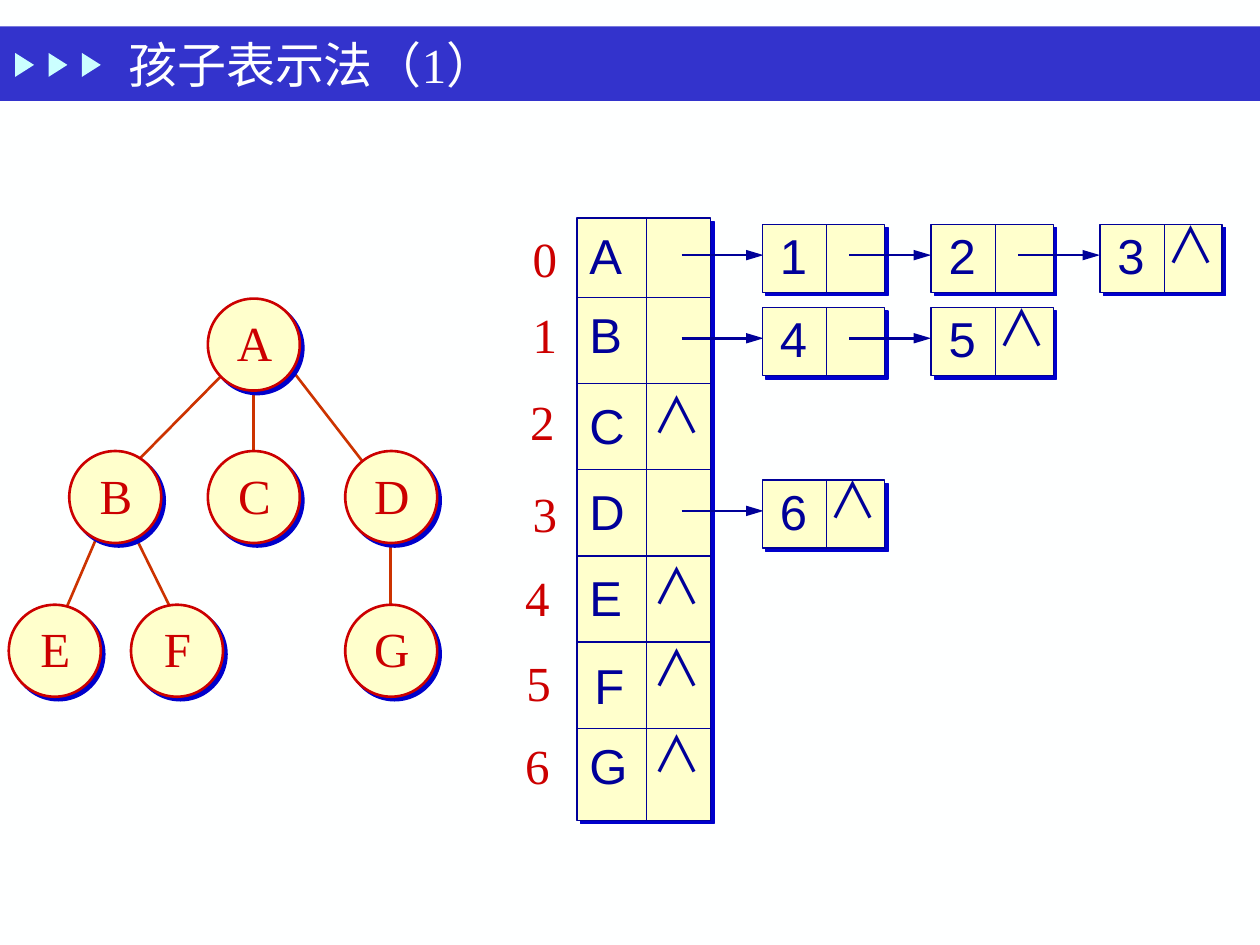
from dataclasses import dataclass

import lxml.etree
import pptx
import pptx.dml.color
import pptx.enum.shapes
import pptx.enum.text
import pptx.oxml.ns
import pptx.util
from pptx.util import Inches

SHAPE = pptx.enum.shapes.MSO_SHAPE
ALIGN = pptx.enum.text.PP_ALIGN
ANCHOR = pptx.enum.text.MSO_ANCHOR
qn = pptx.oxml.ns.qn


@dataclass(frozen=True)
class Theme:
    paper: str = "FEFFFF"
    banner: str = "3333CC"
    marker: str = "CBFFFF"
    cell: str = "FFFFCC"
    red: str = "CC0000"
    branch: str = "CC3300"
    navy: str = "000099"
    shadow: str = "0000CC"
    serif: str = "Times New Roman"
    sans: str = "Arial"
    cjk: str = "Noto Sans CJK SC"
    size: float = 28
    thick: float = 1.5
    thin: float = 0.75


@dataclass(frozen=True)
class TreeNode:
    name: str
    left: float
    top: float


@dataclass(frozen=True)
class Row:
    name: str
    label_left: float
    label_top: float
    index_left: float
    index_top: float
    children: str = ""
    chain_top: float = 0
    null_top: float = 0


T = Theme()
NULL = "∧"

# Tree
DIAMETER = 0.73
TREE = [
    TreeNode("A", 1.65, 2.37),
    TreeNode("B", 0.55, 3.58), TreeNode("C", 1.65, 3.58), TreeNode("D", 2.74, 3.58),
    TreeNode("E", 0.07, 4.8), TreeNode("F", 1.04, 4.8), TreeNode("G", 2.74, 4.8),
]
BRANCHES = [
    (1.77, 2.97, 1.04, 3.71), (2.01, 2.97, 2.01, 3.71), (2.25, 2.85, 3.1, 3.95),
    (0.8, 4.19, 0.43, 5.05), (1.04, 4.19, 1.4, 4.92), (3.1, 4.19, 3.1, 5.05),
]

# Head array and child chains
ARRAY_LEFT, ARRAY_TOP, ARRAY_W, ARRAY_H = 4.58, 1.73, 1.06, 4.78
FIRST_RULE, ROW_PITCH = 2.36, 0.684
CHAIN_LEFT, CHAIN_PITCH, CHAIN_W, CHAIN_H = 6.05, 1.34, 0.97, 0.54
ARROW_LEN, ARROW_DROP = 0.65, 0.245
ROWS = [
    Row("A", 4.58, 1.7, 4.13, 1.72, children="123", chain_top=1.78),
    Row("B", 4.58, 2.33, 4.13, 2.33, children="45", chain_top=2.44),
    Row("C", 4.58, 3.05, 4.11, 3.02, null_top=3.05),
    Row("D", 4.58, 3.73, 4.13, 3.75, children="6", chain_top=3.81),
    Row("E", 4.58, 4.41, 4.07, 4.41, null_top=4.41),
    Row("F", 4.62, 5.11, 4.08, 5.09, null_top=5.06),
    Row("G", 4.58, 5.75, 4.07, 5.75, null_top=5.74),
]


def rgb(value: str) -> pptx.dml.color.RGBColor:
    return pptx.dml.color.RGBColor.from_string(value)


def add_text(s, text: str, left: float, top: float, width: float, height: float = 0.71, *,
             font: str, color: str, align=ALIGN.LEFT, anchor=ANCHOR.TOP,
             inset_top: float = 0.09, east: str = T.cjk) -> None:
    sp = s.shapes.add_textbox(Inches(left), Inches(top), Inches(width), Inches(height))
    tf = sp.text_frame
    tf.word_wrap = True
    tf.vertical_anchor = anchor
    tf.margin_top = Inches(inset_top)
    p = tf.paragraphs[0]
    p.alignment = align
    r = p.add_run()
    r.text = text
    r.font.size = pptx.util.Pt(T.size)
    r.font.name = font
    r.font.color.rgb = rgb(color)
    lxml.etree.SubElement(r.font._element, qn("a:ea"), typeface=east)


def add_block(s, kind, left: float, top: float, width: float, height: float, *,
              fill: str, line: str = "", weight: float = T.thin, shadow: bool = False):
    sp = s.shapes.add_shape(kind, Inches(left), Inches(top), Inches(width), Inches(height))
    sp.shadow.inherit = False
    sp.fill.solid()
    sp.fill.fore_color.rgb = rgb(fill)
    if line:
        sp.line.color.rgb = rgb(line)
        sp.line.width = pptx.util.Pt(weight)
    else:
        sp.line.fill.background()
    if shadow:
        effects = sp._element.spPr.find(qn("a:effectLst"))
        outer = lxml.etree.SubElement(effects, qn("a:outerShdw"), blurRad="0",
                                      dist=str(pptx.util.Pt(2.8)), dir="2700000",
                                      algn="ctr", rotWithShape="0")
        lxml.etree.SubElement(outer, qn("a:srgbClr"), val=T.shadow)
    return sp


def add_line(s, x1: float, y1: float, x2: float, y2: float, *,
             color: str = T.navy, weight: float = T.thin, arrow: bool = False) -> None:
    sp = s.shapes.add_connector(pptx.enum.shapes.MSO_CONNECTOR.STRAIGHT,
                                Inches(x1), Inches(y1), Inches(x2), Inches(y2))
    sp.line.color.rgb = rgb(color)
    sp.line.width = pptx.util.Pt(weight)
    if arrow:
        lxml.etree.SubElement(sp.line._get_or_add_ln(), qn("a:tailEnd"),
                              type="triangle", w="med", len="lg")
    lxml.etree.SubElement(sp._element.spPr, qn("a:effectLst"))


def add_null(s, left: float, top: float) -> None:
    add_text(s, NULL, left, top, 0.7, font=T.cjk, color=T.navy, inset_top=0)


def add_arrow(s, left: float, y: float) -> None:
    add_line(s, left, y, left + ARROW_LEN, y, weight=T.thick, arrow=True)


def draw_banner(s) -> None:
    add_block(s, SHAPE.RECTANGLE, 0, 0.21, 10, 0.59, fill=T.banner)
    for i in range(3):
        sp = add_block(s, SHAPE.ISOSCELES_TRIANGLE, 0.1 + i * 0.265, 0.44, 0.19, 0.15,
                       fill=T.marker)
        sp.rotation = 90
    add_text(s, "孩子表示法（1）", 0.92, 0.26, 7, 0.5, font=T.serif, color=T.paper,
             anchor=ANCHOR.MIDDLE, inset_top=0.05)


def draw_tree(s) -> None:
    for branch in BRANCHES:
        add_line(s, *branch, color=T.branch, weight=T.thick)
    for node in TREE:
        add_block(s, SHAPE.OVAL, node.left, node.top, DIAMETER, DIAMETER,
                  fill=T.cell, line=T.red, weight=T.thick, shadow=True)
        add_text(s, node.name, node.left + 0.02, node.top - 0.09, 0.7, 0.83, font=T.serif,
                 color=T.red, align=ALIGN.CENTER, anchor=ANCHOR.MIDDLE)


def draw_chain(s, row: Row) -> None:
    top = row.chain_top
    add_arrow(s, 5.41, top + ARROW_DROP)
    for i, child in enumerate(row.children):
        left = CHAIN_LEFT + i * CHAIN_PITCH
        add_block(s, SHAPE.RECTANGLE, left, top, CHAIN_W, CHAIN_H,
                  fill=T.cell, line=T.navy, shadow=True)
        add_line(s, left + 0.51, top, left + 0.51, top + CHAIN_H)
        add_text(s, child, left + 0.04, top - 0.08, 0.49, font=T.sans, color=T.navy)
        if i == len(row.children) - 1:
            add_null(s, left + 0.43, top - 0.08)
    # Arrows go over the boxes they leave
    for i in range(len(row.children) - 1):
        add_arrow(s, CHAIN_LEFT + i * CHAIN_PITCH + 0.69, top + ARROW_DROP)


def draw_array(s) -> None:
    add_block(s, SHAPE.RECTANGLE, ARRAY_LEFT, ARRAY_TOP, ARRAY_W, ARRAY_H,
              fill=T.cell, line=T.navy, shadow=True)
    for i in range(len(ROWS) - 1):
        y = FIRST_RULE + i * ROW_PITCH
        add_line(s, ARRAY_LEFT, y, ARRAY_LEFT + ARRAY_W, y)
    add_line(s, 5.13, ARRAY_TOP, 5.13, ARRAY_TOP + ARRAY_H)
    for i, row in enumerate(ROWS):
        add_text(s, str(i), row.index_left, row.index_top, 0.47, font=T.serif, color=T.red)
        add_text(s, row.name, row.label_left, row.label_top, 0.54, font=T.sans, color=T.navy)
        if row.children:
            draw_chain(s, row)
        else:
            add_null(s, 5.08, row.null_top)


def main() -> None:
    prs = pptx.Presentation()
    prs.slide_width, prs.slide_height = Inches(10), Inches(7.5)
    s = prs.slides.add_slide(prs.slide_layouts[6])
    s.background.fill.solid()
    s.background.fill.fore_color.rgb = rgb(T.paper)
    draw_banner(s)
    draw_tree(s)
    draw_array(s)
    prs.save("out.pptx")


if __name__ == "__main__":
    main()
